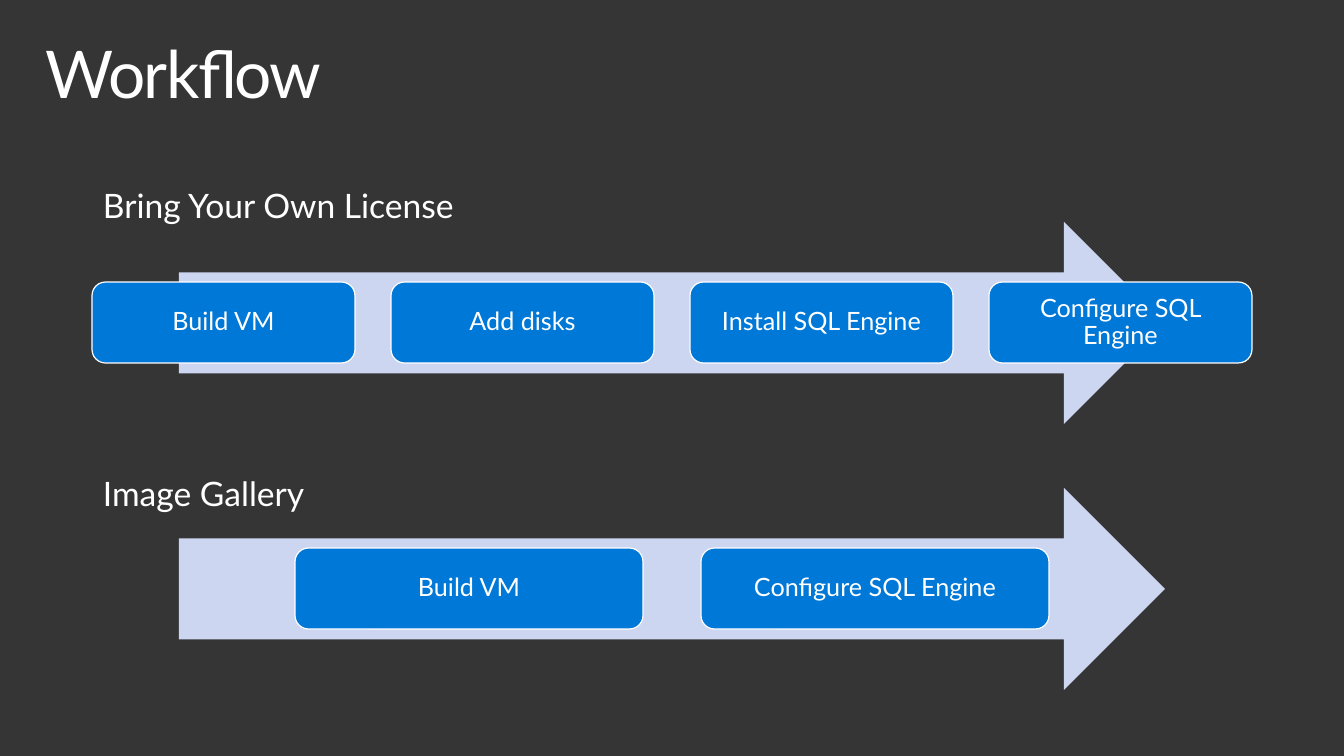
from pptx import Presentation
from pptx.dml.color import RGBColor
from pptx.enum.shapes import MSO_SHAPE
from pptx.enum.text import MSO_ANCHOR, MSO_AUTO_SIZE, PP_ALIGN
from pptx.util import Emu, Pt

ARROW = MSO_SHAPE.RIGHT_ARROW
ROUNDED = MSO_SHAPE.ROUNDED_RECTANGLE
TOP, MIDDLE = MSO_ANCHOR.TOP, MSO_ANCHOR.MIDDLE
LEFT, CENTER = PP_ALIGN.LEFT, PP_ALIGN.CENTER
NO_FIT = MSO_AUTO_SIZE.NONE

CHARCOAL = RGBColor(0x35, 0x35, 0x35)
WHITE = RGBColor(0xFF, 0xFF, 0xFF)
BLUE = RGBColor(0x00, 0x78, 0xD7)
PALE_BLUE = RGBColor(0xCC, 0xD6, 0xF0)

FONT = "Lato"
EMU_PER_PX = 914400 / 100.8
PAGE_WIDTH, PAGE_HEIGHT = 1344, 756
ARROW_LEFT, ARROW_WIDTH, ARROW_HEIGHT = 179, 986, 202
STEP_HEIGHT = 81

WORKFLOWS = [
    dict(heading="Bring Your Own License", heading_box=(93, 180, 407, 50),
         arrow_top=222, step_left=92, step_width=263, gap=36,
         steps=["Build VM", "Add disks", "Install SQL Engine", "Configure SQL Engine"]),
    dict(heading="Image Gallery", heading_box=(93, 468, 317, 50),
         arrow_top=488, step_left=295, step_width=348, gap=58,
         steps=["Build VM", "Configure SQL Engine"]),
]


def px(length):
    return Emu(round(length * EMU_PER_PX))


def write(frame, text, size, align=LEFT, anchor=TOP, insets=(10, 5),
          line_spacing=1.0, tracking=0):
    frame.word_wrap = True
    frame.auto_size = NO_FIT
    frame.vertical_anchor = anchor
    frame.margin_left = frame.margin_right = px(insets[0])
    frame.margin_top = frame.margin_bottom = px(insets[1])
    para = frame.paragraphs[0]
    para.alignment = align
    para.line_spacing = line_spacing
    span = para.add_run()
    span.text = text
    span.font.name = FONT
    span.font.size = Pt(size)
    span.font.color.rgb = WHITE
    if tracking:
        span._r.get_or_add_rPr().set("spc", str(tracking * 100))


class WorkflowPage:
    def __init__(self, deck):
        self.page = deck.slides.add_slide(deck.slide_layouts[5])
        self.page.background.fill.solid()
        self.page.background.fill.fore_color.rgb = CHARCOAL

    def title(self, text, left, top, width, height):
        box = self.page.shapes.title
        box.left, box.top, box.width, box.height = map(px, (left, top, width, height))
        write(box.text_frame, text, 47, insets=(16, 10), line_spacing=0.9, tracking=-1)

    def heading(self, text, left, top, width, height):
        box = self.page.shapes.add_textbox(*map(px, (left, top, width, height)))
        write(box.text_frame, text, 24)

    def shape(self, group, kind, fill, left, top, width, height):
        shape = group.shapes.add_shape(kind, *map(px, (left, top, width, height)))
        shape.shadow.inherit = False
        shape.fill.solid()
        shape.fill.fore_color.rgb = fill
        shape.line.fill.background()
        return shape

    def step(self, group, text, left, top, width):
        box = self.shape(group, ROUNDED, BLUE, left, top, width, STEP_HEIGHT)
        box.line.color.rgb = WHITE
        box.line.width = Pt(0.85)
        write(box.text_frame, text, 18, align=CENTER, anchor=MIDDLE,
              insets=(7, 7), line_spacing=0.9)

    def process(self, steps, arrow_top, step_left, step_width, gap):
        group = self.page.shapes.add_group_shape()
        self.shape(group, ARROW, PALE_BLUE, ARROW_LEFT, arrow_top,
                   ARROW_WIDTH, ARROW_HEIGHT)
        step_top = arrow_top + (ARROW_HEIGHT - STEP_HEIGHT) // 2
        for index, text in enumerate(steps):
            left = step_left + index * (step_width + gap)
            self.step(group, text, left, step_top, step_width)


def main():
    deck = Presentation()
    deck.slide_width, deck.slide_height = px(PAGE_WIDTH), px(PAGE_HEIGHT)
    page = WorkflowPage(deck)
    page.title("Workflow", 29, 32, 1285, 99)
    for flow in WORKFLOWS:
        page.process(flow["steps"], flow["arrow_top"], flow["step_left"],
                     flow["step_width"], flow["gap"])
        page.heading(flow["heading"], *flow["heading_box"])
    deck.save("out.pptx")


if __name__ == "__main__":
    main()
